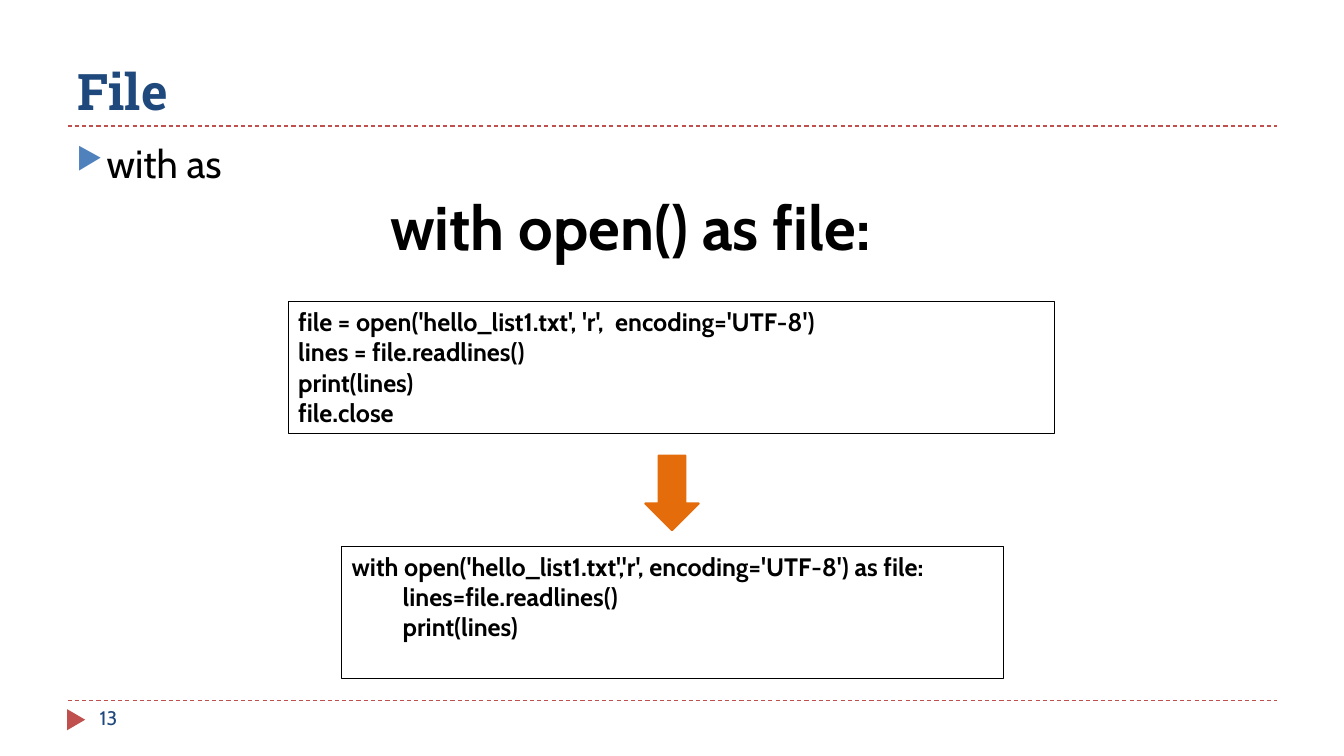
from dataclasses import dataclass

from lxml.etree import SubElement
from pptx import Presentation
from pptx.dml.color import RGBColor
from pptx.enum.dml import MSO_LINE
from pptx.enum.shapes import MSO_CONNECTOR, MSO_SHAPE
from pptx.enum.text import MSO_ANCHOR, MSO_AUTO_SIZE, PP_ALIGN
from pptx.oxml.ns import qn
from pptx.shapes.autoshape import Shape
from pptx.slide import Slide
from pptx.text.text import TextFrame
from pptx.util import Emu, Pt

PX = 9144  # 100 px to the inch
HEX = {
    "red": "C0504D",
    "navy": "1F497D",
    "blue": "4F81BD",
    "orange": "E46C0A",
    "black": "000000",
}
BODY, HEAD = "Cabin", "Roboto Slab"


@dataclass
class Box:
    x: int
    y: int
    w: int
    h: int

    def emu(self) -> list[Emu]:
        return [Emu(n * PX) for n in (self.x, self.y, self.w, self.h)]


@dataclass
class Label:
    box: Box
    text: str
    size: int
    color: str = "black"
    bold: bool = False


@dataclass
class Code:
    box: Box
    lines: list[str]


@dataclass
class Mark:
    box: Box
    kind: MSO_SHAPE
    color: str
    turn: int = 0
    edge: float = 0


RULES = [125, 695]
MARKS = [
    Mark(Box(65, 705, 21, 18), MSO_SHAPE.ISOSCELES_TRIANGLE, "red", turn=90),
    Mark(Box(640, 452, 53, 74), MSO_SHAPE.DOWN_ARROW, "orange", edge=1.5),
]
TITLE = Label(Box(67, 17, 1200, 108), "File", 36, "navy", True)
TOPIC = Label(Box(66, 133, 1200, 540), "with as", 28)
LABELS = [
    Label(Box(89, 695, 289, 40), "13", 14, "navy"),
    Label(Box(377, 183, 578, 84), "with open() as file:", 44, bold=True),
]
CODES = [
    Code(Box(286, 299, 760, 131), [
        "file = open('hello_list1.txt', 'r',  encoding='UTF-8')",
        "lines = file.readlines()",
        "print(lines)",
        "file.close",
    ]),
    Code(Box(339, 542, 656, 131), [
        "with open('hello_list1.txt','r', encoding='UTF-8') as file:",
        "         lines=file.readlines()",
        "         print(lines)",
    ]),
]


def tint(name: str) -> RGBColor:
    return RGBColor.from_string(HEX[name])


def write(frame: TextFrame, lines: list[str], size: int, color: str,
          bold: bool, face: str = BODY) -> None:
    """Fill a frame with one left-aligned paragraph per line."""
    frame.word_wrap = True
    frame.auto_size = MSO_AUTO_SIZE.NONE
    for i, line in enumerate(lines):
        para = frame.add_paragraph() if i else frame.paragraphs[0]
        para.alignment = PP_ALIGN.LEFT
        run = para.add_run()
        run.text = line
        font = run.font
        font.name, font.size, font.bold = face, Pt(size), bold
        font.color.rgb = tint(color)


def add_rule(slide: Slide, y: int) -> None:
    rule = slide.shapes.add_connector(
        MSO_CONNECTOR.STRAIGHT, 67 * PX, y * PX, 1267 * PX, y * PX)
    rule.line.color.rgb = tint("red")
    rule.line.width = Pt(0.75)
    rule.line.dash_style = MSO_LINE.DASH
    SubElement(rule._element.spPr, qn("a:effectLst"))


def add_mark(slide: Slide, mark: Mark) -> None:
    shape = slide.shapes.add_shape(mark.kind, *mark.box.emu())
    shape.shadow.inherit = False
    shape.rotation = mark.turn
    shape.fill.solid()
    shape.fill.fore_color.rgb = tint(mark.color)
    if mark.edge:
        shape.line.color.rgb = tint(mark.color)
        shape.line.width = Pt(mark.edge)
    else:
        shape.line.fill.background()


def add_label(slide: Slide, label: Label) -> Shape:
    shape = slide.shapes.add_textbox(*label.box.emu())
    write(shape.text_frame, [label.text], label.size, label.color, label.bold)
    return shape


def add_topic(slide: Slide, label: Label) -> None:
    """Add a label with a hanging triangle bullet."""
    para = add_label(slide, label).text_frame.paragraphs[0]
    props = para._p.get_or_add_pPr()
    props.set("marL", str(30 * PX))
    props.set("indent", str(-30 * PX))
    color = SubElement(props, qn("a:buClr"))
    SubElement(color, qn("a:srgbClr"), val=HEX["blue"])
    SubElement(props, qn("a:buSzPct"), val="76000")
    SubElement(props, qn("a:buChar"), char="▶")


def add_code(slide: Slide, code: Code) -> None:
    shape = slide.shapes.add_shape(MSO_SHAPE.RECTANGLE, *code.box.emu())
    shape.shadow.inherit = False
    shape.fill.background()
    shape.line.color.rgb = tint("black")
    shape.line.width = Pt(0.75)
    shape.text_frame.vertical_anchor = MSO_ANCHOR.TOP
    write(shape.text_frame, code.lines, 18, "black", True)


def set_title(slide: Slide, label: Label) -> None:
    title = slide.shapes.title
    title.left, title.top, title.width, title.height = label.box.emu()
    title.text_frame.vertical_anchor = MSO_ANCHOR.BOTTOM
    write(title.text_frame, [label.text], label.size, label.color,
          label.bold, HEAD)


def main() -> None:
    deck = Presentation()
    deck.slide_width, deck.slide_height = Emu(1333 * PX), Emu(750 * PX)
    slide = deck.slides.add_slide(deck.slide_layouts[5])
    for y in RULES:
        add_rule(slide, y)
    set_title(slide, TITLE)
    add_topic(slide, TOPIC)
    for label in LABELS:
        add_label(slide, label)
    for code in CODES:
        add_code(slide, code)
    for mark in MARKS:
        add_mark(slide, mark)
    deck.save("out.pptx")


if __name__ == "__main__":
    main()
